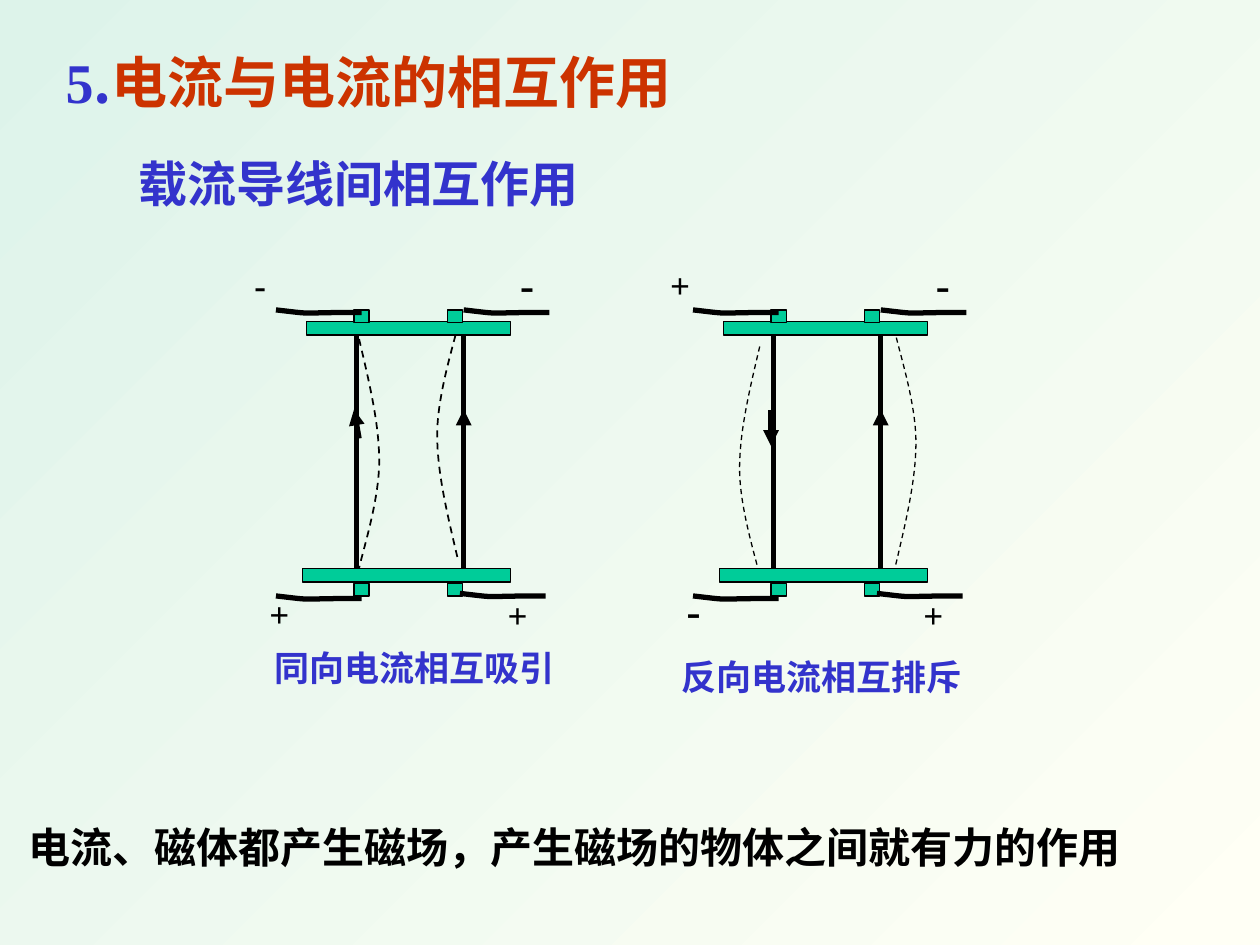
from dataclasses import dataclass

from lxml.etree import SubElement
from pptx import Presentation
from pptx.dml.color import RGBColor as Rgb
from pptx.enum.dml import MSO_LINE as Dash
from pptx.enum.shapes import MSO_CONNECTOR as Conn, MSO_SHAPE as Kind
from pptx.enum.text import MSO_ANCHOR as Anchor, MSO_AUTO_SIZE as Fit, PP_ALIGN as Align
from pptx.oxml.ns import qn
from pptx.util import Inches, Pt


@dataclass(frozen=True)
class Theme:
    latin: str = "Times New Roman"
    asian: str = "Noto Sans CJK SC"
    blue: str = "3333CC"
    red: str = "CC3300"
    black: str = "000000"
    green: str = "00CC99"
    pale: tuple = ("DDF3EA", "FFFFF5")
    head: int = 32
    sub: int = 28
    note: int = 24
    label: int = 20
    wire: float = 3
    edge: float = 0.75


T = Theme()
STEP = 3.31  # distance between the two set-ups

# Cubic curves relative to their start: control, control, end, ...
BOW = [(0.08, 0.34), (0.16, 0.67), (0.16, 0.97),
       (0.16, 1.28), (0.03, 1.68), (0, 1.82)]
LEAD = [(0.35, 0.04), (0.12, 0.02), (0.68, 0.02)]


def fill_text(box, runs, size, wrap=False):
    """Write runs of (text, colour, latin font) in one paragraph."""
    frame = box.text_frame
    frame.word_wrap = wrap
    frame.auto_size = Fit.SHAPE_TO_FIT_TEXT
    frame.vertical_anchor = Anchor.TOP
    para = frame.paragraphs[0]
    para.alignment = Align.LEFT
    para.line_spacing = 1
    para.space_before = Pt(0)
    for text, color, face in runs:
        run = para.add_run()
        run.text = text
        font = run.font
        font.name, font.size, font.bold = face, Pt(size), True
        font.color.rgb = Rgb.from_string(color)
        SubElement(font._element, qn("a:ea"), typeface=T.asian)


def add_text(shapes, spot, text, size, color=T.black, wrap=False):
    box = shapes.add_textbox(*map(Inches, spot))
    fill_text(box, [(text, color, T.latin)], size, wrap)


def set_line(line, width):
    line.color.rgb = Rgb.from_string(T.black)
    line.width = Pt(width)


def add_bar(shapes, *spot):
    bar = shapes.add_shape(Kind.RECTANGLE, *map(Inches, spot))
    bar.shadow.inherit = False
    bar.fill.solid()
    bar.fill.fore_color.rgb = Rgb.from_string(T.green)
    set_line(bar.line, T.edge)


def add_line(shapes, *ends, arrow=False):
    line = shapes.add_connector(Conn.STRAIGHT, *map(Inches, ends))
    set_line(line.line, T.wire)
    if arrow:
        SubElement(line.line._get_or_add_ln(), qn("a:tailEnd"), type="triangle")
    SubElement(line._element.spPr, qn("a:effectLst"))


def bend(curve):
    """Turn each three straight segments into one cubic curve."""
    track = next(curve._element.iter(qn("a:path")))
    legs = track.findall(qn("a:lnTo"))
    for i in range(0, len(legs), 3):
        cubic = SubElement(track, qn("a:cubicBezTo"))
        for leg in legs[i:i + 3]:
            cubic.append(leg[0])
            track.remove(leg)


def add_curve(shapes, x, y, spots, width, flip=(1, 1), dash=False):
    pen = shapes.build_freeform(Inches(x), Inches(y))
    pen.add_line_segments([(Inches(x + flip[0] * a), Inches(y + flip[1] * b))
                           for a, b in spots], close=False)
    curve = pen.convert_to_shape()
    bend(curve)
    curve.shadow.inherit = False
    curve.fill.background()
    set_line(curve.line, width)
    if dash:
        curve.line.dash_style = Dash.DASH


def add_rig(slide, x, bows, width, arrow, signs):
    """One pair of wires, moved right by x."""
    shapes = slide.shapes.add_group_shape().shapes
    # Wires and their bent positions
    for left, top in ((2.83, 2.64), (3.68, 2.65)):
        add_line(shapes, x + left, top, x + left, top + 1.88)
    for left, top, flip in bows:
        add_curve(shapes, left, top, BOW, width, flip, dash=True)
    # Holders
    add_bar(shapes, x + 2.43, 2.55, 1.62, 0.11)
    add_bar(shapes, x + 2.4, 4.51, 1.65, 0.11)
    # Current arrows
    add_line(shapes, x + 3.68, 3.64, x + 3.68, 3.25, arrow=True)
    add_line(shapes, *arrow, arrow=True)
    # Clamps and leads
    for left in (2.81, 3.55):
        for top in (2.46, 4.63):
            add_bar(shapes, x + left, top, 0.12, 0.1)
    for left, top in ((3.65, 4.71), (2.19, 2.46), (3.68, 2.46), (2.19, 4.73)):
        add_curve(shapes, x + left, top, LEAD, T.wire)
    # Poles
    for left, top, wide, sign, size in signs:
        add_text(shapes, (left, top, wide, 0.43), sign, size)


def add_back(slide):
    fill = slide.background.fill
    fill.gradient()
    fill.gradient_angle = 315
    for stop, color in zip(fill.gradient_stops, T.pale):
        stop.color.rgb = Rgb.from_string(color)


def main():
    deck = Presentation()
    deck.slide_width, deck.slide_height = Inches(10), Inches(7.5)
    slide = deck.slides.add_slide(deck.slide_layouts[5])
    shapes = slide.shapes
    add_back(slide)

    # Headings
    title = shapes.title
    title.left, title.top, title.width, title.height = map(Inches, (0.42, 0.33, 5.42, 0.63))
    fill_text(title, [("5", T.blue, T.latin), (".", T.blue, T.asian),
                      ("电流与电流的相互作用", T.red, T.asian)], T.head, wrap=True)
    add_text(shapes, (1, 1.17, 3.71, 0.57), "载流导线间相互作用", T.sub, T.blue)

    # Same direction
    add_rig(slide, 0, [(2.85, 2.69, (1, 1)), (3.63, 4.42, (-1, -1))], 1,
            (2.85, 3.48, 2.81, 3.25),
            [(2.04, 4.65, 0.36, "+", T.label), (3.93, 4.66, 0.36, "+", T.label),
             (1.92, 2.04, 0.29, "-", T.label), (4.03, 2, 0.31, "-", T.note)])
    # Opposite direction
    add_rig(slide, STEP, [(6.03, 2.75, (-1, 1)), (7.11, 4.48, (1, -1))], T.edge,
            (6.12, 3.25, 6.12, 3.54),
            [(5.35, 4.59, 0.31, "-", T.note), (7.23, 4.66, 0.36, "+", T.label),
             (5.22, 2.04, 0.36, "+", T.label), (7.33, 2, 0.31, "-", T.note)])

    # Captions and conclusion
    for left, top, text in ((2.08, 5.08, "同向电流相互吸引"), (5.31, 5.15, "反向电流相互排斥")):
        add_text(shapes, (left, top, 2.44, 0.43), text, T.label, T.blue)
    add_text(shapes, (0.13, 6.47, 9.83, 0.5),
             "电流、磁体都产生磁场，产生磁场的物体之间就有力的作用", T.note, wrap=True)
    deck.save("out.pptx")


if __name__ == "__main__":
    main()
